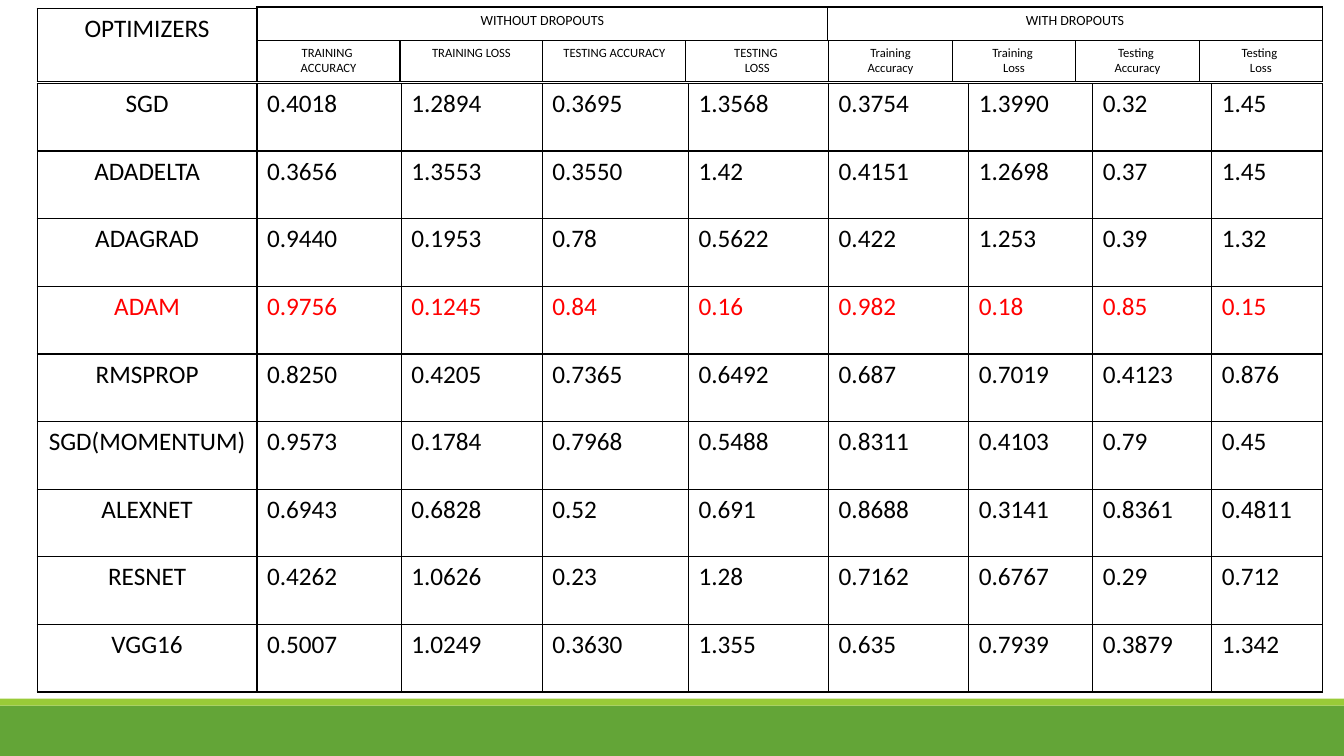
from lxml.etree import SubElement
from pptx import Presentation
from pptx.dml.color import RGBColor
from pptx.enum.shapes import MSO_SHAPE
from pptx.enum.text import PP_ALIGN
from pptx.oxml.ns import qn
from pptx.util import Pt

BLACK, RED = "000000", "FF0000"
RESULT_WIDTHS = [157, 103, 100.8, 104.4, 100.1, 100.1, 88.6, 85, 79.2]
RESULTS = [
    ["SGD", "0.4018", "1.2894", "0.3695", "1.3568", "0.3754", "1.3990", "0.32", "1.45"],
    ["ADADELTA", "0.3656", "1.3553", "0.3550", "1.42", "0.4151", "1.2698", "0.37", "1.45"],
    ["ADAGRAD", "0.9440", "0.1953", "0.78", "0.5622", "0.422", "1.253", "0.39", "1.32"],
    ["ADAM", "0.9756", "0.1245", "0.84", "0.16", "0.982", "0.18", "0.85", "0.15"],
    ["RMSPROP", "0.8250", "0.4205", "0.7365", "0.6492", "0.687", "0.7019", "0.4123", "0.876"],
    ["SGD(MOMENTUM)", "0.9573", "0.1784", "0.7968", "0.5488", "0.8311", "0.4103", "0.79", "0.45"],
    ["ALEXNET", "0.6943", "0.6828", "0.52", "0.691", "0.8688", "0.3141", "0.8361", "0.4811"],
    ["RESNET", "0.4262", "1.0626", "0.23", "1.28", "0.7162", "0.6767", "0.29", "0.712"],
    ["VGG16", "0.5007", "1.0249", "0.3630", "1.355", "0.635", "0.7939", "0.3879", "1.342"],
]
WITHOUT_HEADS = ["TRAINING \nACCURACY", "TRAINING LOSS", "TESTING ACCURACY", "TESTING \nLOSS"]
WITH_HEADS = ["Training\nAccuracy", "Training \nLoss", "Testing \nAccuracy", "Testing \nLoss"]


def rgb(color):
    return RGBColor.from_string(color)


def add_bar(s, y, h, color):
    sp = s.shapes.add_shape(MSO_SHAPE.RECTANGLE, Pt(0), Pt(y), Pt(960), Pt(h))
    sp.shadow.inherit = False
    sp.fill.solid()
    sp.fill.fore_color.rgb = rgb(color)
    sp.line.fill.background()


def add_borders(cell):
    tcPr = cell._tc.get_or_add_tcPr()
    for side in ("lnL", "lnR", "lnT", "lnB"):
        ln = SubElement(tcPr, qn(f"a:{side}"), w=str(Pt(1)))
        fill = SubElement(ln, qn("a:solidFill"))
        SubElement(fill, qn("a:srgbClr"), val=BLACK)


def fill_cell(cell, text, size, color, align):
    cell.text = text
    add_borders(cell)
    cell.fill.background()
    for p in cell.text_frame.paragraphs:
        p.alignment = align
        for r in p.runs:
            r.font.name = "Calibri"
            r.font.size = Pt(size)
            r.font.color.rgb = rgb(color)


def add_grid(s, x, y, widths, row_height, rows, size, centred_columns, red_label=None):
    frame = s.shapes.add_table(len(rows), len(widths), Pt(x), Pt(y),
                               Pt(sum(widths)), Pt(row_height * len(rows)))
    table = frame.table
    table.first_row = table.horz_banding = False
    for column, width in zip(table.columns, widths):
        column.width = Pt(width)
    for i, row in enumerate(rows):
        table.rows[i].height = Pt(row_height)
        color = RED if row[0] == red_label else BLACK
        for j, text in enumerate(row):
            align = PP_ALIGN.CENTER if j < centred_columns else PP_ALIGN.LEFT
            fill_cell(table.cell(i, j), text, size, color, align)


def main():
    prs = Presentation()
    prs.slide_width, prs.slide_height = Pt(960), Pt(540)
    s = prs.slides.add_slide(prs.slide_layouts[6])
    add_bar(s, 504, 36, "63A537")
    add_bar(s, 499, 5, "99CB38")
    add_grid(s, 26.6, 59.6, RESULT_WIDTHS, 48.33, RESULTS, 18, 1, "ADAM")
    add_grid(s, 183.6, 29, [102.1] * 4, 29.5, [WITHOUT_HEADS], 9, 4)
    add_grid(s, 592, 29, [88.2] * 4, 29.5, [WITH_HEADS], 9, 4)
    add_grid(s, 183.6, 5, [407.5, 353.5], 24, [["WITHOUT DROPOUTS", "WITH DROPOUTS"]], 10, 2)
    add_grid(s, 26.6, 6, [157], 52, [["OPTIMIZERS"]], 18, 1)
    prs.save("out.pptx")


if __name__ == "__main__":
    main()
